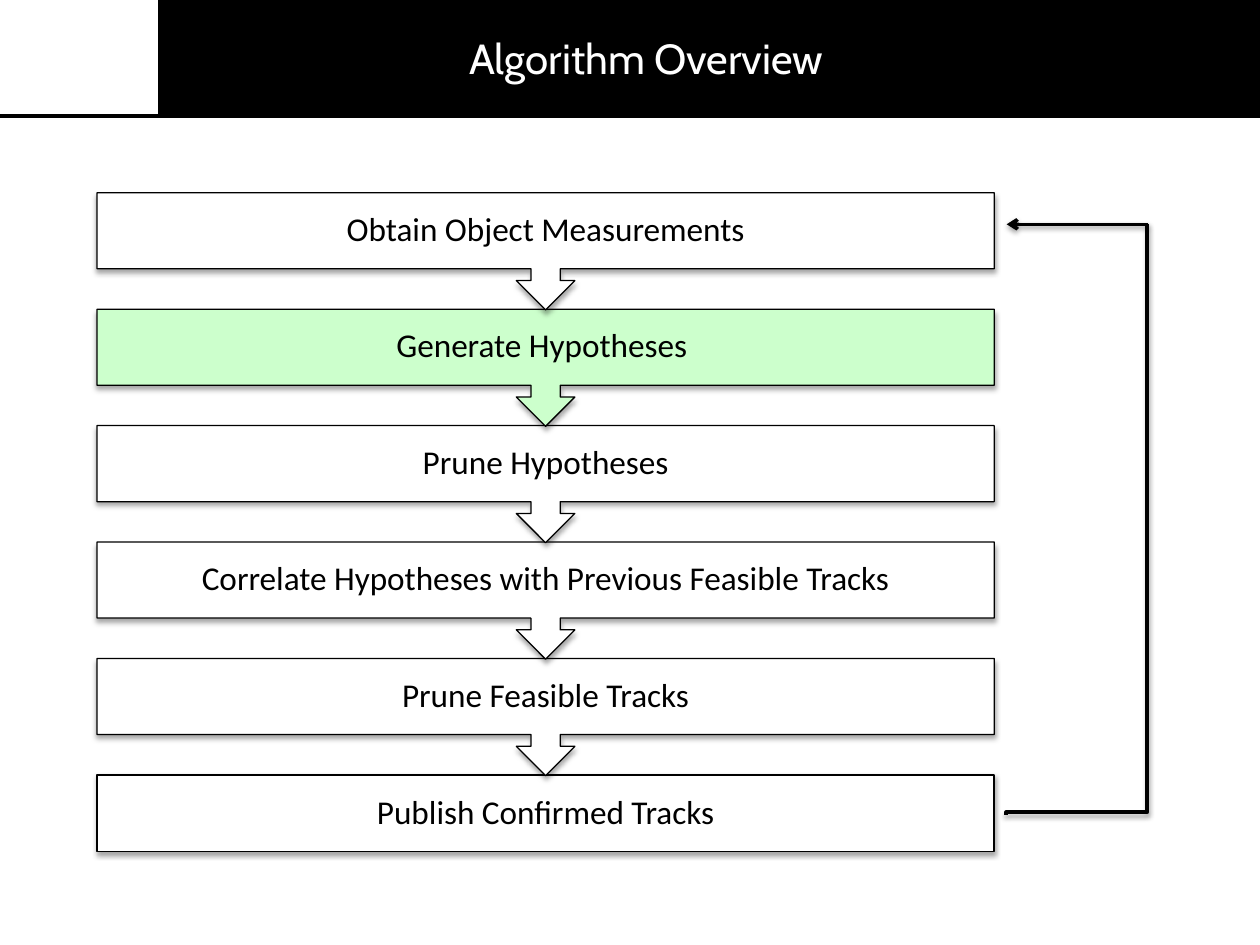
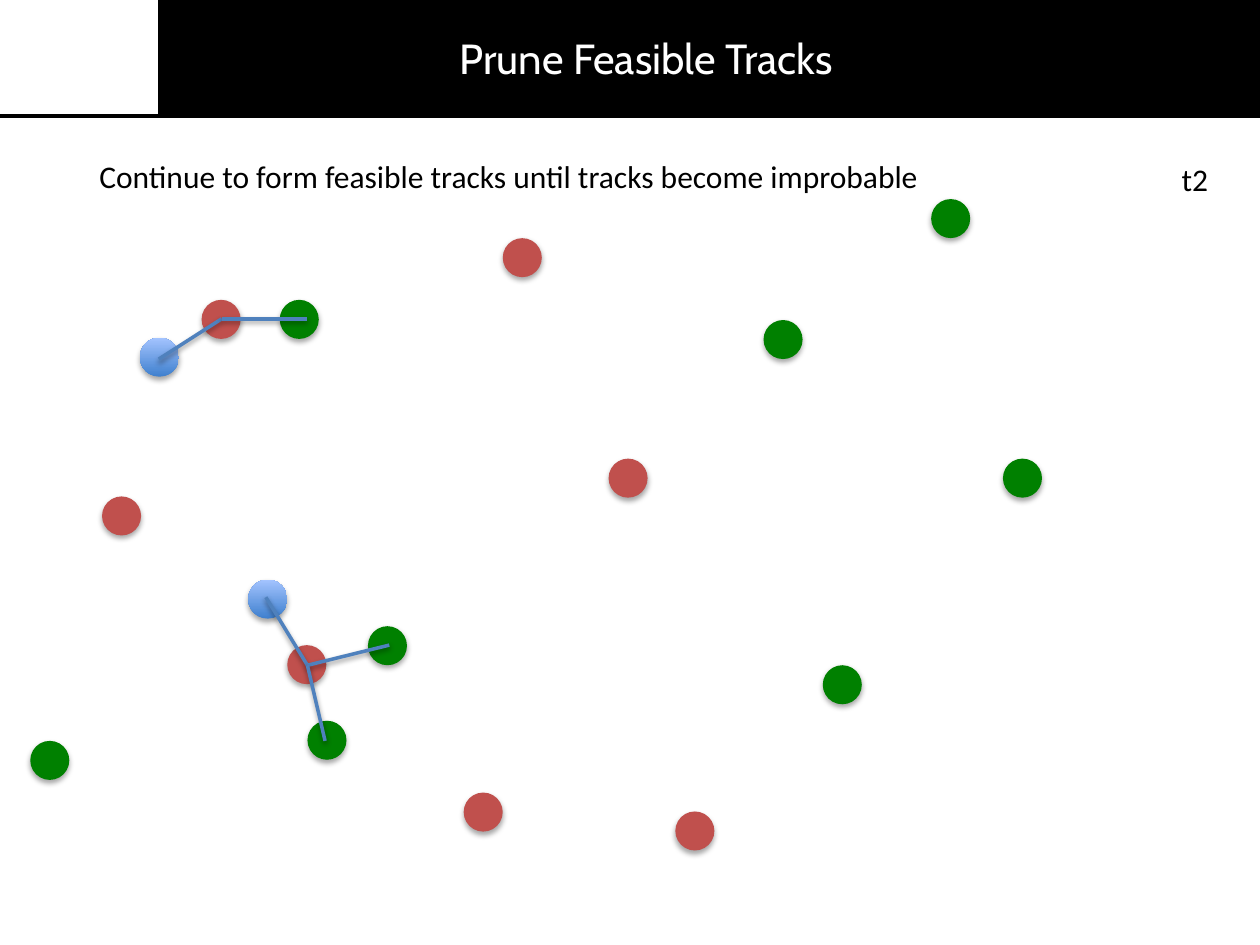
from lxml import etree
from pptx import Presentation
from pptx.dml.color import RGBColor
from pptx.enum.shapes import MSO_CONNECTOR, MSO_SHAPE
from pptx.enum.text import MSO_ANCHOR, PP_ALIGN
from pptx.oxml.ns import qn
from pptx.util import Inches, Pt

RECT = MSO_SHAPE.RECTANGLE
CALL = MSO_SHAPE.DOWN_ARROW_CALLOUT
OVAL = MSO_SHAPE.OVAL
LINE = MSO_CONNECTOR.STRAIGHT
BENT = MSO_CONNECTOR.ELBOW
LEFT = PP_ALIGN.LEFT
MID = PP_ALIGN.CENTER
BLACK, WHITE, MINT = "000000", "FFFFFF", "CCFFCC"
RED, GREEN, BLUE = "C0504D", "008000", "4F81BD"
DEEP, PALE = "3F80CE", "A4C4FF"
hue = RGBColor.from_string


def trim(shape, tint, width, alpha=0, dist=0):
    if tint:
        shape.line.color.rgb = hue(tint)
        shape.line.width = Pt(width)
    else:
        shape.line.fill.background()
    effect = etree.SubElement(shape._element.spPr, qn("a:effectLst"))
    if alpha:
        shade = etree.SubElement(
            effect, qn("a:outerShdw"), blurRad=str(Pt(3.1)), dist=str(Pt(dist)),
            dir="5400000", rotWithShape="0")
        base = etree.SubElement(shade, qn("a:srgbClr"), val=BLACK)
        etree.SubElement(base, qn("a:alpha"), val=str(alpha * 1000))


def write(shape, text, size, tint=BLACK, face="Calibri", align=LEFT, wrap=True):
    frame = shape.text_frame
    frame.word_wrap = wrap
    frame.text = text
    para = frame.paragraphs[0]
    para.alignment = align
    font = para.runs[0].font
    font.size = Pt(size)
    font.name = face
    font.color.rgb = hue(tint)


deck = Presentation()
deck.slide_width = Inches(10)
deck.slide_height = Inches(7.5)

for title in ("Algorithm Overview", "Prune Feasible Tracks"):
    slide = deck.slides.add_slide(deck.slide_layouts[6])
    rule = slide.shapes.add_connector(LINE, 0, Inches(0.92), Inches(10), Inches(0.92))
    trim(rule, BLACK, 2)
    band = slide.shapes.add_shape(RECT, Inches(1.26), 0, Inches(8.74), Inches(0.91))
    band.fill.solid()
    band.fill.fore_color.rgb = hue(BLACK)
    trim(band, BLACK, 0.75)
    head = slide.shapes.add_textbox(Inches(1.31), Inches(0.21), Inches(7.64), Inches(0.5))
    write(head, title, 24, WHITE, "Cabin", MID)

flow, plot = [slide.shapes for slide in deck.slides]

steps = [
    "Obtain Object Measurements",
    "Generate Hypotheses ",
    "Prune Hypotheses",
    "Correlate Hypotheses with Previous Feasible Tracks",
    "Prune Feasible Tracks",
    "Publish Confirmed Tracks",
]
last = len(steps) - 1
for row in range(last, -1, -1):
    kind, tall = (RECT, 0.61) if row == last else (CALL, 0.93)
    step = flow.add_shape(
        kind, Inches(0.77), Inches(1.53 + row * 0.924), Inches(7.12), Inches(tall))
    step.fill.solid()
    step.fill.fore_color.rgb = hue(MINT if row == 1 else WHITE)
    trim(step, BLACK, 0.75, 35, 1.8)
    write(step, steps[row], 19, align=MID)
    frame = step.text_frame
    frame.vertical_anchor = MSO_ANCHOR.MIDDLE
    frame.margin_left = frame.margin_right = Inches(0.15)
    frame.margin_top = frame.margin_bottom = Inches(0.15)
    frame.paragraphs[0].line_spacing = 0.9

back = flow.add_connector(LINE, Inches(9.11), Inches(1.78), Inches(7.99), Inches(1.78))
trim(back, BLACK, 2, 38, 1.6)
etree.SubElement(back.line._get_or_add_ln(), qn("a:tailEnd"), type="arrow")

loop = flow.add_connector(BENT, Inches(6.2), Inches(3.56), Inches(10.89), Inches(4.68))
loop._element.spPr.find(qn("a:xfrm")).set("rot", "5400000")
guides = loop._element.spPr.find(qn("a:prstGeom")).find(qn("a:avLst"))
etree.SubElement(guides, qn("a:gd"), name="adj1", fmla="val 99600")
trim(loop, BLACK, 2, 38, 1.6)

dots = {
    BLUE: [(1.11, 2.68), (1.97, 4.6)],
    RED: [(1.6, 2.38), (4.83, 3.64), (2.28, 5.12), (0.81, 3.94),
          (3.68, 6.29), (3.99, 1.89), (5.36, 6.44)],
    GREEN: [(2.92, 4.97), (7.39, 1.58), (7.96, 3.64), (0.24, 5.88),
            (6.06, 2.54), (6.53, 5.28), (2.22, 2.38), (2.44, 5.72)],
}
for tint, spots in dots.items():
    for x, y in spots:
        dot = plot.add_shape(OVAL, Inches(x), Inches(y), Inches(0.31), Inches(0.31))
        if tint == BLUE:
            dot.fill.gradient()
            dot.fill.gradient_angle = 90
            for stop, tone in zip(dot.fill.gradient_stops, (DEEP, PALE)):
                stop.color.rgb = hue(tone)
        else:
            dot.fill.solid()
            dot.fill.fore_color.rgb = hue(tint)
        trim(dot, None, 0, 35, 1.8)

tracks = [
    [(1.26, 2.85), (1.76, 2.53), (2.44, 2.53)],
    [(2.11, 4.74), (2.44, 5.28), (3.09, 5.12)],
    [(2.44, 5.28), (2.58, 5.88)],
]
for track in tracks:
    for (x, y), (u, v) in zip(track, track[1:]):
        link = plot.add_connector(LINE, Inches(x), Inches(y), Inches(u), Inches(v))
        trim(link, BLUE, 2, 38, 1.6)

time = plot.add_textbox(Inches(9.28), Inches(1.22), Inches(0.41), Inches(0.4))
write(time, "t2", 18, wrap=False)
note = plot.add_textbox(Inches(0.69), Inches(1.2), Inches(7.16), Inches(0.4))
write(note, "Continue to form feasible tracks until tracks become improbable", 18)

deck.save("out.pptx")
